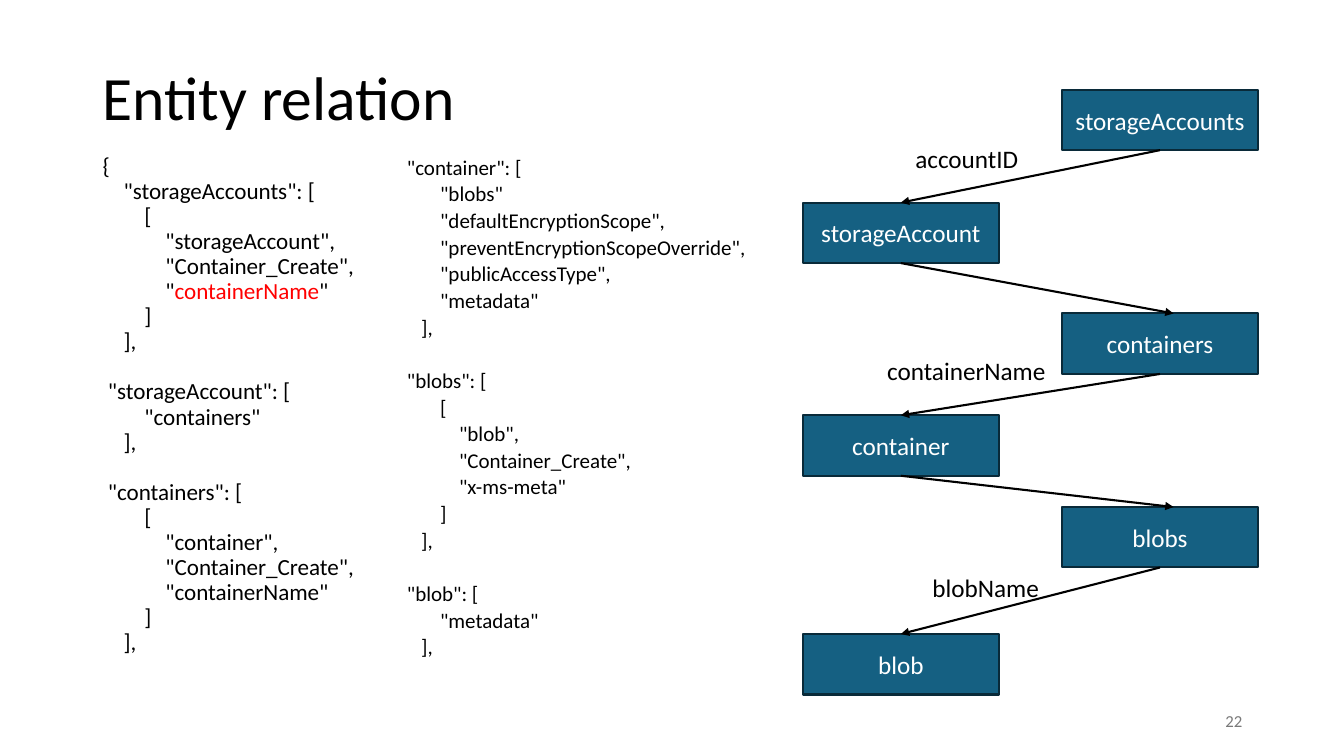
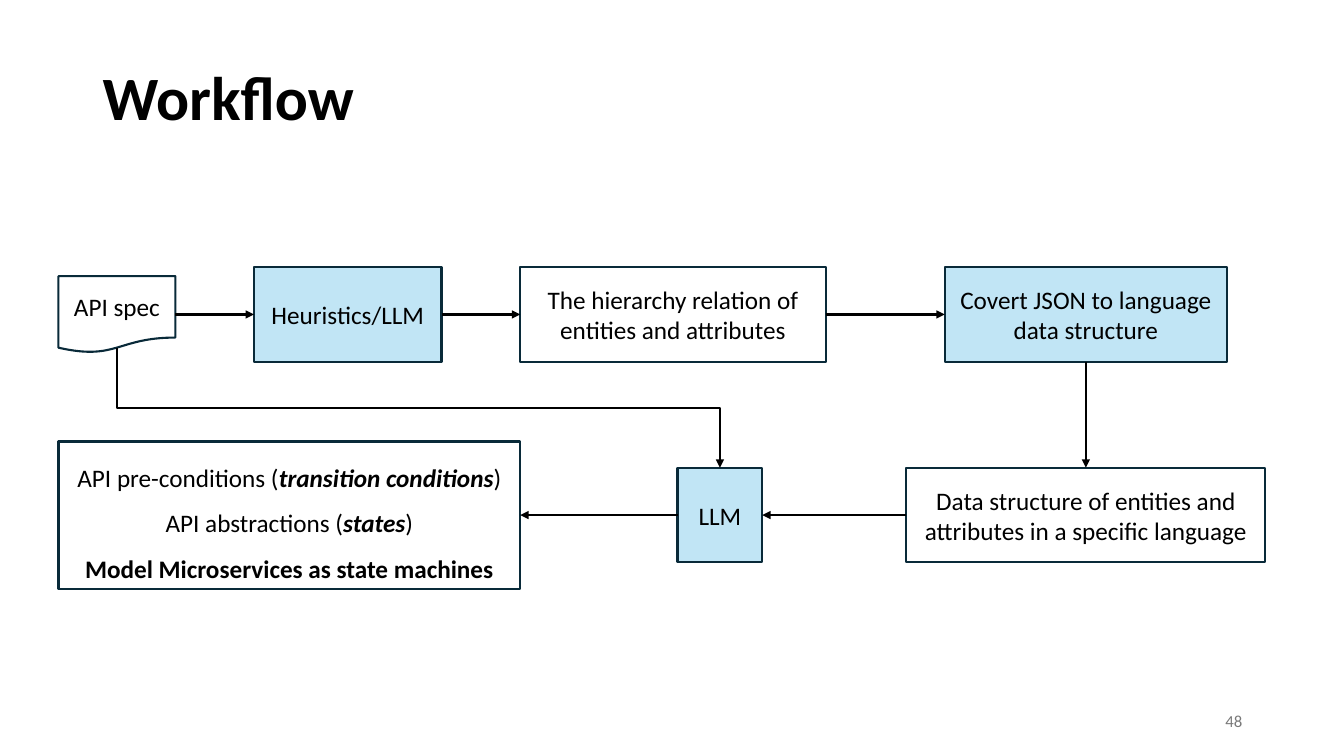
"""Builds the entity relation and workflow slides."""
from lxml import etree
from pptx import Presentation
from pptx.dml.color import RGBColor
from pptx.enum.shapes import MSO_CONNECTOR, MSO_SHAPE
from pptx.enum.text import MSO_ANCHOR, PP_ALIGN
from pptx.oxml.ns import qn
from pptx.util import Inches, Pt

STRAIGHT, ELBOW = MSO_CONNECTOR.STRAIGHT, MSO_CONNECTOR.ELBOW
RECTANGLE, DOCUMENT = MSO_SHAPE.RECTANGLE, MSO_SHAPE.FLOWCHART_DOCUMENT
TOP, MIDDLE = MSO_ANCHOR.TOP, MSO_ANCHOR.MIDDLE
LEFT, CENTER, RIGHT = PP_ALIGN.LEFT, PP_ALIGN.CENTER, PP_ALIGN.RIGHT

FONT = "Calibri"
BLACK, WHITE, RED, GREY = "000000", "FFFFFF", "FF0000", "797979"
TEAL, PALE_BLUE, OUTLINE = "156082", "C1E5F5", "092A39"
SIDE_TOP, SIDE_LEFT, SIDE_BOTTOM, SIDE_RIGHT = range(4)
SPACE_WIDTH, LINE_HEIGHT = 0.226, 1.22
CODE_GAP = 10

BOLD = {"bold": True}
BOLD_ITALIC = {"bold": True, "italic": True}

ACCOUNT_CODE = [
    [(0, "{"), (4, '"storageAccounts": ['), (8, "["), (12, '"storageAccount",'),
     (12, '"Container_Create",'),
     (12, [('"', {}), ("containerName", {"color": RED}), ('"', {})]),
     (8, "]"), (4, "],")],
    [(1, '"storageAccount": ['), (8, '"containers"'), (4, "],")],
    [(1, '"containers": ['), (8, "["), (12, '"container",'),
     (12, '"Container_Create",'), (12, '"containerName"'), (8, "]"), (4, "],")],
]
BLOB_CODE = [
    [(1, '"container": ['), (8, '"blobs"'), (8, '"defaultEncryptionScope",'),
     (8, '"preventEncryptionScopeOverride",'), (8, '"publicAccessType",'),
     (8, '"metadata"'), (4, "],")],
    [(1, '"blobs": ['), (8, "["), (12, '"blob",'), (12, '"Container_Create",'),
     (12, '"x-ms-meta"'), (8, "]"), (4, "],")],
    [(1, '"blob": ['), (8, '"metadata"'), (4, "],")],
]
CODE_COLUMNS = [
    (ACCOUNT_CODE, (0.92, 1.59, 3.09, 5.16), 16.5, 0.4),
    (BLOB_CODE, (3.89, 1.59, 3.66, 5.16), 15, 0.5),
]

ENTITIES = [("storageAccounts", 0.89), ("storageAccount", 2.01), ("containers", 3.11),
            ("container", 4.12), ("blobs", 5.03), ("blob", 6.29)]
ENTITY_LEFTS = (10.53, 7.96)
ENTITY_SIZE = (1.95, 0.6)
COLLECTION_ENTRY = 11.64
KEY_LABELS = [("accountID", (8.98, 1.37, 1.24, 0.4)),
              ("containerName", (8.7, 3.48, 1.79, 0.4)),
              ("blobName", (9.15, 5.63, 1.27, 0.4))]

UPPER_ROW, LOWER_ROW, STEP_HEIGHT = 2.65, 4.64, 0.94
STEPS = {
    "description": (["API spec"], (0.58, 2.74, 1.16, 0.76), WHITE),
    "heuristics": (["Heuristics/LLM"], (2.52, UPPER_ROW, 1.86, STEP_HEIGHT), PALE_BLUE),
    "hierarchy": (["The hierarchy relation of entities and attributes"],
                  (5.16, UPPER_ROW, 3.03, STEP_HEIGHT), WHITE),
    "conversion": (["Covert JSON to language data structure"],
                   (9.37, UPPER_ROW, 2.8, STEP_HEIGHT), PALE_BLUE),
    "structure": (["Data structure of entities and attributes in a specific language"],
                  (8.99, LOWER_ROW, 3.56, STEP_HEIGHT), WHITE),
    "llm": (["LLM"], (6.72, LOWER_ROW, 0.84, STEP_HEIGHT), PALE_BLUE),
    "result": ([
        [("API pre-conditions (", {}), ("transition conditions", BOLD_ITALIC), (")", {})],
        [("API abstractions (", {}), ("states", BOLD_ITALIC), (")", {})],
        [("Model Microservices as state machines", BOLD)],
    ], (0.58, 4.38, 4.58, 1.46), WHITE),
}
FLOWS = [
    ("description", SIDE_RIGHT, "heuristics", SIDE_LEFT),
    ("heuristics", SIDE_RIGHT, "hierarchy", SIDE_LEFT),
    ("hierarchy", SIDE_RIGHT, "conversion", SIDE_LEFT),
    ("conversion", SIDE_BOTTOM, "structure", SIDE_TOP),
    ("structure", SIDE_LEFT, "llm", SIDE_RIGHT),
    ("llm", SIDE_LEFT, "result", SIDE_RIGHT),
]
DESCRIPTION_EXIT, LLM_ENTRY = (1.16, 3.45), (7.14, 4.64)


def rgb(color):
    """Turn a hex string into a colour."""
    return RGBColor.from_string(color)


def add_runs(paragraph, content, size, color=BLACK, bold=False):
    """Write plain text or a list of styled runs into a paragraph."""
    for text, style in [(content, {})] if isinstance(content, str) else content:
        run = paragraph.add_run()
        run.text = text
        font = run.font
        font.name, font.size = FONT, Pt(size)
        font.bold = style.get("bold", bold)
        font.italic = style.get("italic", False)
        font.color.rgb = rgb(style.get("color", color))


def add_paragraphs(frame, contents):
    """Yield one paragraph of the frame with each content."""
    for index, content in enumerate(contents):
        yield (frame.add_paragraph() if index else frame.paragraphs[0]), content


def add_text(slide, place, content, size, color=BLACK, align=LEFT, anchor=TOP,
             wrap=True, bold=False, spacing=None):
    """Add a text box with one paragraph."""
    frame = slide.shapes.add_textbox(*map(Inches, place)).text_frame
    frame.word_wrap, frame.vertical_anchor = wrap, anchor
    paragraph = frame.paragraphs[0]
    paragraph.alignment, paragraph.line_spacing = align, spacing
    add_runs(paragraph, content, size, color, bold)


def add_code(slide, blocks, place, size, spacing):
    """Add indented code lines, with a line's height between blocks."""
    frame = slide.shapes.add_textbox(*map(Inches, place)).text_frame
    frame.word_wrap = True
    block_gap = 2 * CODE_GAP + size * LINE_HEIGHT * spacing
    lines = [(indent, content, block_gap if number and not row else CODE_GAP)
             for number, block in enumerate(blocks)
             for row, (indent, content) in enumerate(block)]
    for paragraph, (indent, content, gap) in add_paragraphs(frame, lines):
        paragraph.line_spacing, paragraph.space_before = spacing, Pt(gap)
        properties = paragraph._p.get_or_add_pPr()
        properties.set("marL", str(Pt(indent * SPACE_WIDTH * size)))
        properties.set("indent", "0")
        add_runs(paragraph, content, size)


def add_box(slide, place, contents, fill, color=BLACK, kind=RECTANGLE):
    """Add an outlined box with centred text."""
    box = slide.shapes.add_shape(kind, *map(Inches, place))
    box.shadow.inherit = False
    box.fill.solid()
    box.fill.fore_color.rgb = rgb(fill)
    box.line.color.rgb, box.line.width = rgb(OUTLINE), Pt(1.5)
    frame = box.text_frame
    frame.word_wrap, frame.vertical_anchor = True, MIDDLE
    for paragraph, content in add_paragraphs(frame, contents):
        paragraph.alignment = CENTER
        if len(contents) > 1:
            paragraph.line_spacing = 1.5
        add_runs(paragraph, content, 18, color)
    return box


def add_arrow(slide, start=(0, 0), end=(0, 0), kind=STRAIGHT):
    """Add a black connector with a triangle at its end."""
    arrow = slide.shapes.add_connector(kind, *map(Inches, (*start, *end)))
    arrow.line.color.rgb, arrow.line.width = rgb(BLACK), Pt(1.5)
    etree.SubElement(arrow.line._get_or_add_ln(), qn("a:tailEnd"), type="triangle")
    etree.SubElement(arrow._element.spPr, qn("a:effectLst"))
    return arrow


def add_drop_arrow(slide, start, end):
    """Add an elbow arrow that leaves downward, using a quarter turn."""
    (x1, y1), (x2, y2) = start, end
    middle_x, middle_y = (x1 + x2) / 2, (y1 + y2) / 2
    half_drop, half_run = (y2 - y1) / 2, (x2 - x1) / 2
    arrow = add_arrow(slide, (middle_x + half_drop, middle_y - half_run),
                      (middle_x - half_drop, middle_y + half_run), ELBOW)
    arrow._element.spPr.find(qn("a:xfrm")).set("rot", str(270 * 60000))


def add_slide(deck, title, number, bold=False):
    """Add a blank slide with its title and number."""
    slide = deck.slides.add_slide(deck.slide_layouts[6])
    add_text(slide, (0.92, 0.4, 11.5, 1.2), title, 44, anchor=MIDDLE, bold=bold, spacing=0.9)
    add_text(slide, (9.42, 6.95, 3, 0.4), number, 12, GREY, RIGHT, MIDDLE)
    return slide


def build_entity_relation(deck):
    """Build the code columns and the entity chain."""
    slide = add_slide(deck, "Entity relation", "22")
    for column in CODE_COLUMNS:
        add_code(slide, *column)
    entities = [add_box(slide, (ENTITY_LEFTS[index % 2], top, *ENTITY_SIZE), [name], TEAL, WHITE)
                for index, (name, top) in enumerate(ENTITIES)]
    for index, (parent, child) in enumerate(zip(entities, entities[1:])):
        arrow = add_arrow(slide, end=(COLLECTION_ENTRY, ENTITIES[index + 1][1]))
        arrow.begin_connect(parent, SIDE_BOTTOM)
        if index % 2 == 0:
            arrow.end_connect(child, SIDE_TOP)
    for label, place in KEY_LABELS:
        add_text(slide, place, label, 18, wrap=False)


def build_workflow(deck):
    """Build the workflow boxes and the arrows between them."""
    slide = add_slide(deck, "Workflow", "48", bold=True)
    steps = {key: add_box(slide, place, contents, fill,
                          kind=DOCUMENT if key == "description" else RECTANGLE)
             for key, (contents, place, fill) in STEPS.items()}
    for source, exit_side, target, entry_side in FLOWS:
        arrow = add_arrow(slide)
        arrow.begin_connect(steps[source], exit_side)
        arrow.end_connect(steps[target], entry_side)
    add_drop_arrow(slide, DESCRIPTION_EXIT, LLM_ENTRY)


def main():
    """Build and save the deck."""
    deck = Presentation()
    deck.slide_width, deck.slide_height = Inches(13.33), Inches(7.5)
    build_entity_relation(deck)
    build_workflow(deck)
    deck.save("out.pptx")


if __name__ == "__main__":
    main()
